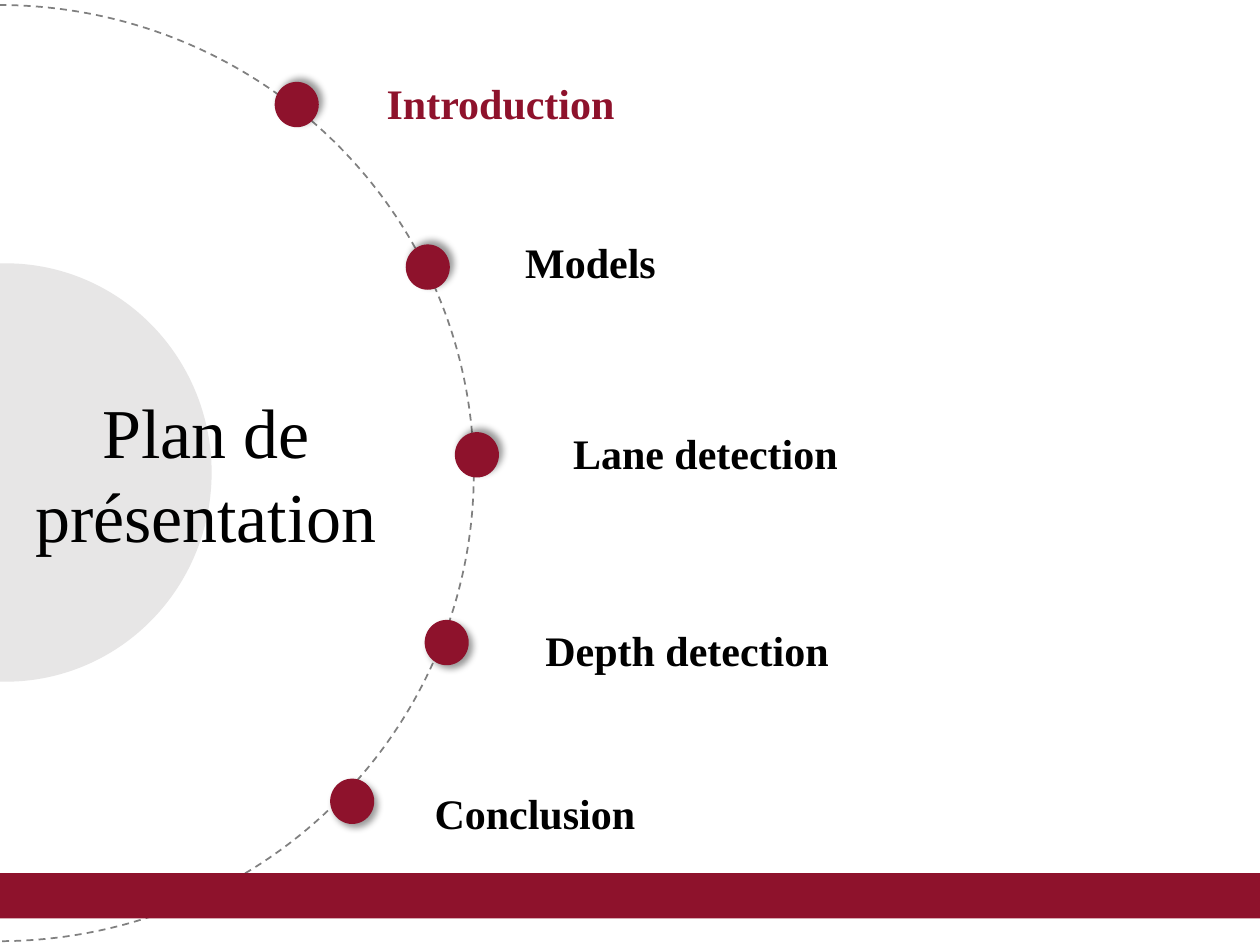
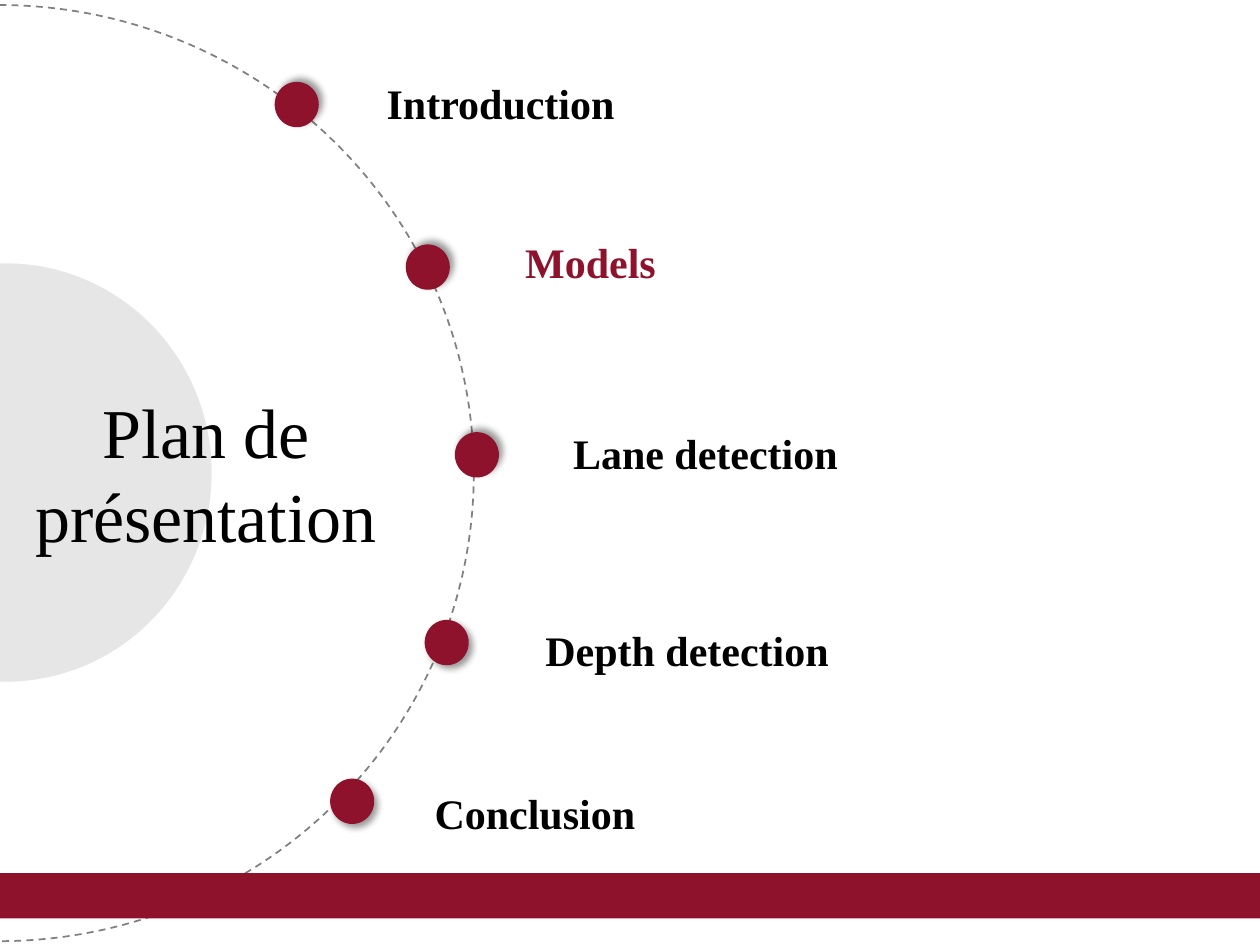
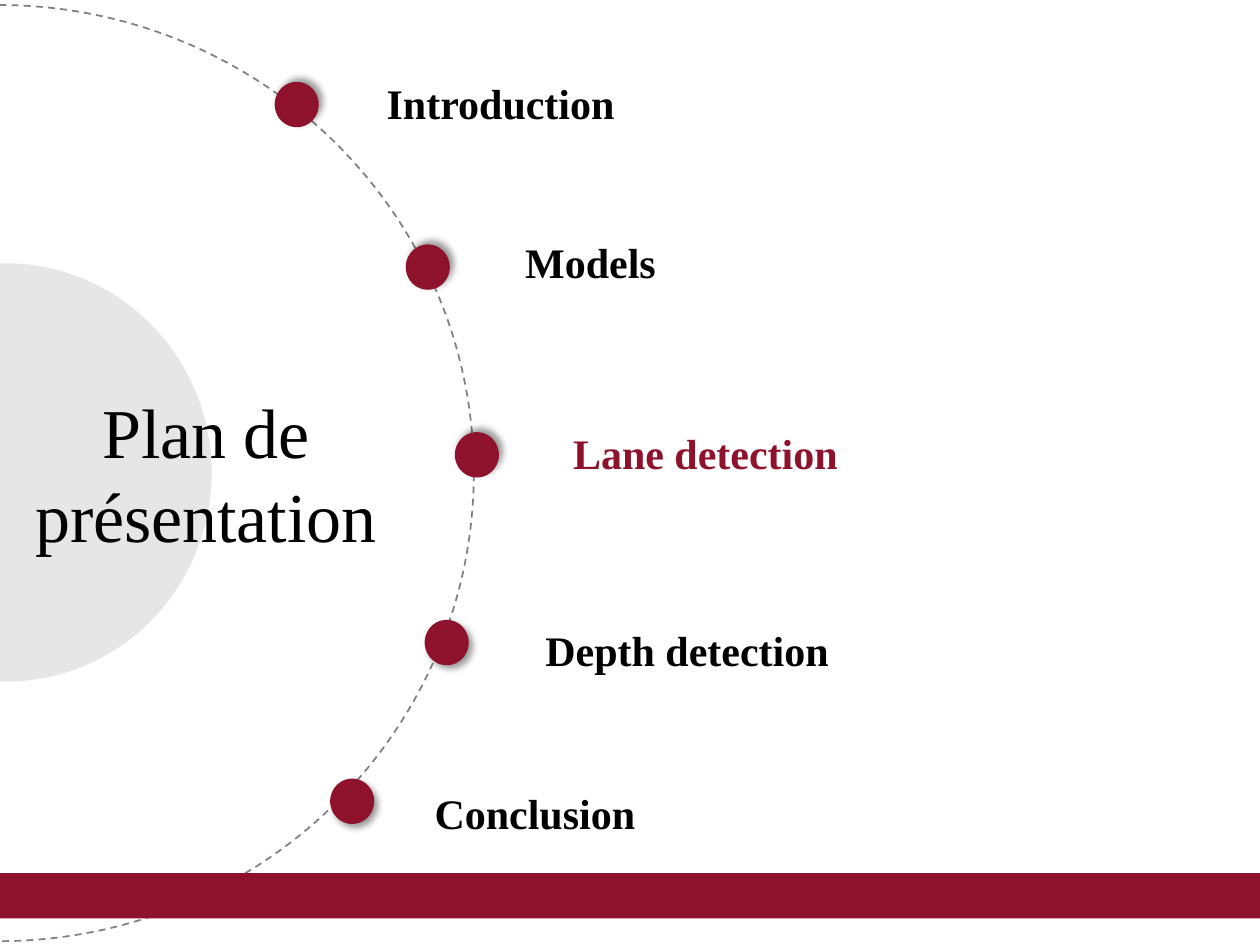
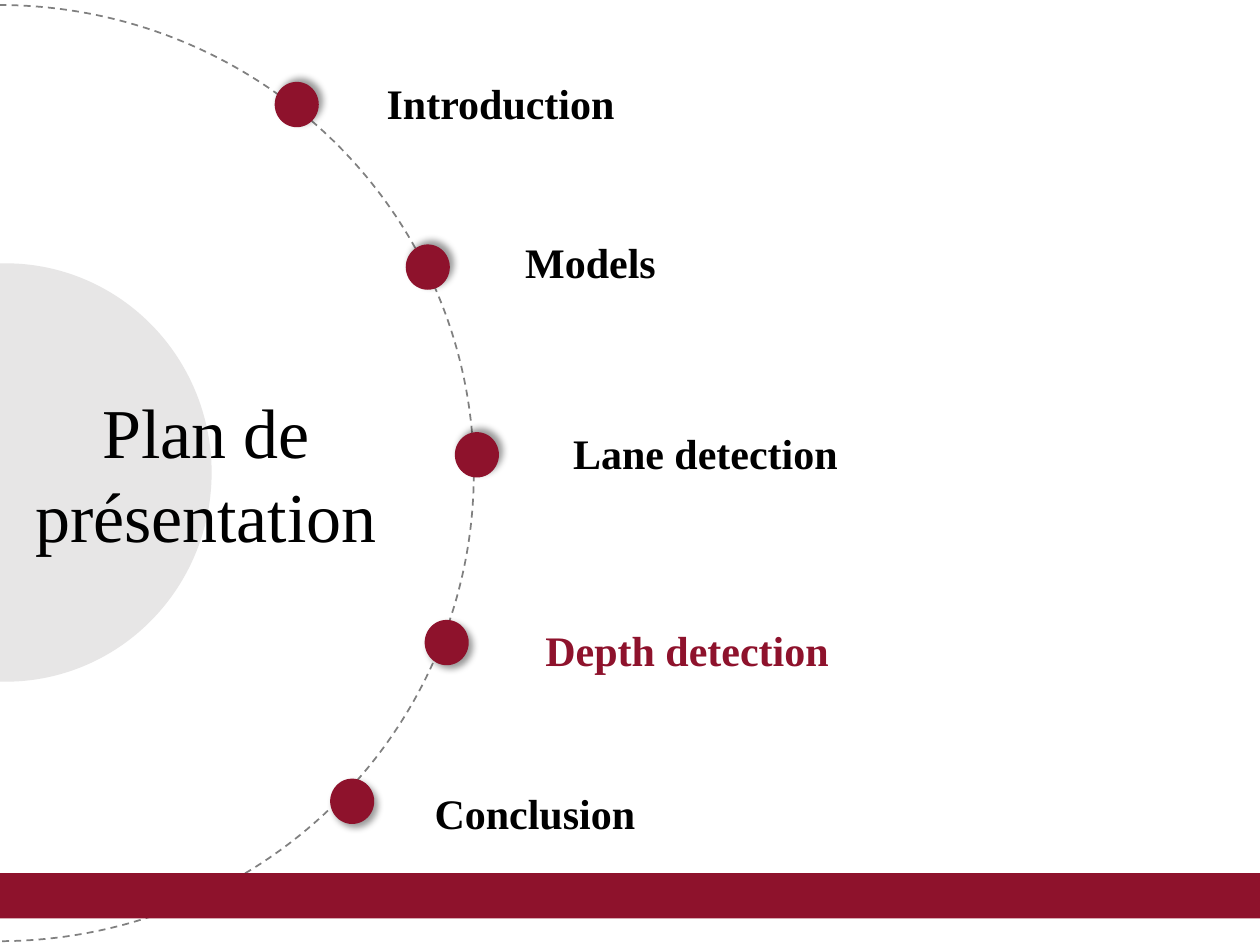
from lxml.etree import SubElement
from pptx import Presentation
from pptx.dml.color import RGBColor
from pptx.enum.dml import MSO_LINE
from pptx.enum.shapes import MSO_SHAPE as Shape
from pptx.enum.text import MSO_ANCHOR as Anchor, MSO_AUTO_SIZE as AutoSize, PP_ALIGN as Align
from pptx.oxml.ns import qn
from pptx.util import Inches, Pt

# Content: label, dot (left, top), label box (left, top, width), wrap, shadow angle
HEADING = "Plan de présentation"
SECTIONS = [
    ("Introduction", (2.18, 0.65), (2.97, 0.57, 3.5), True, 315),
    ("Models", (3.22, 1.94), (4.07, 1.83, 3.5), True, 315),
    ("Lane detection", (3.61, 3.43), (4.45, 3.34, 3.5), True, 315),
    ("Depth detection", (3.37, 4.92), (4.23, 4.91, 2.47), False, 45),
    ("Conclusion", (2.62, 6.18), (3.35, 6.2, 1.81), False, 45),
]
ACTIVE_SECTIONS = ["Introduction", "Models", "Lane detection", "Depth detection"]

# Shared style
COLORS = {"accent": "8E122C", "disc": "E7E6E6", "orbit": "808080", "text": "000000"}
FONT = "Times New Roman"
DOT_SIZE = (0.35, 0.36)
LABEL_HEIGHT = 0.5


def color(name):
    return RGBColor.from_string(COLORS[name])


def add_filled(slide, kind, box, fill=None):
    shape = slide.shapes.add_shape(kind, *map(Inches, box))
    shape.shadow.inherit = False
    shape.line.fill.background()
    if fill:
        shape.fill.solid()
        shape.fill.fore_color.rgb = color(fill)
    else:
        shape.fill.background()
    return shape


def add_shadow(shape, angle):
    effects = shape.element.spPr.find(qn("a:effectLst"))
    shadow = SubElement(effects, qn("a:outerShdw"), blurRad=str(Pt(4)), dist=str(Pt(3)),
                        dir=str(angle * 60000), algn="ctr", rotWithShape="0")
    tint = SubElement(shadow, qn("a:srgbClr"), val=COLORS["text"])
    SubElement(tint, qn("a:alpha"), val="40000")


def write(frame, text, size, ink, bold=False, align=Align.LEFT, wrap=True):
    frame.word_wrap = wrap
    frame.auto_size = AutoSize.SHAPE_TO_FIT_TEXT
    frame.vertical_anchor = Anchor.TOP
    paragraph = frame.paragraphs[0]
    paragraph.alignment = align
    run = paragraph.add_run()
    run.text = text
    run.font.name = FONT
    run.font.size = Pt(size)
    run.font.bold = bold
    run.font.color.rgb = color(ink)


def add_heading(slide):
    heading = slide.shapes.title
    heading.left, heading.top, heading.width, heading.height = map(Inches, (0, 3.03, 3.27, 1.45))
    write(heading.text_frame, HEADING, 40, "text", align=Align.CENTER)
    # Bring the heading in front of the disc
    heading.element.getparent().append(heading.element)


def add_plan(deck, active):
    slide = deck.slides.add_slide(deck.slide_layouts[5])

    # Disc and dashed orbit
    add_filled(slide, Shape.OVAL, (-1.59, 2.09, 3.27, 3.32), "disc")
    orbit = add_filled(slide, Shape.OVAL, (-3.78, 0.04, 7.54, 7.43))
    orbit.line.color.rgb = color("orbit")
    orbit.line.width = Pt(1)
    orbit.line.dash_style = MSO_LINE.DASH

    # Dots on the orbit
    for _, place, _, _, angle in SECTIONS:
        add_shadow(add_filled(slide, Shape.OVAL, place + DOT_SIZE, "accent"), angle)

    # Footer band
    add_filled(slide, Shape.RECTANGLE, (-0.02, 6.93, 10.02, 0.36), "accent")

    # Heading and section labels
    add_heading(slide)
    for name, _, place, wrap, _ in SECTIONS:
        label = slide.shapes.add_textbox(*map(Inches, place + (LABEL_HEIGHT,)))
        ink = "accent" if name == active else "text"
        write(label.text_frame, name, 24, ink, bold=True, wrap=wrap)


def main():
    deck = Presentation()
    deck.slide_width, deck.slide_height = Inches(10), Inches(7.5)
    for active in ACTIVE_SECTIONS:
        add_plan(deck, active)
    deck.save("out.pptx")


if __name__ == "__main__":
    main()
